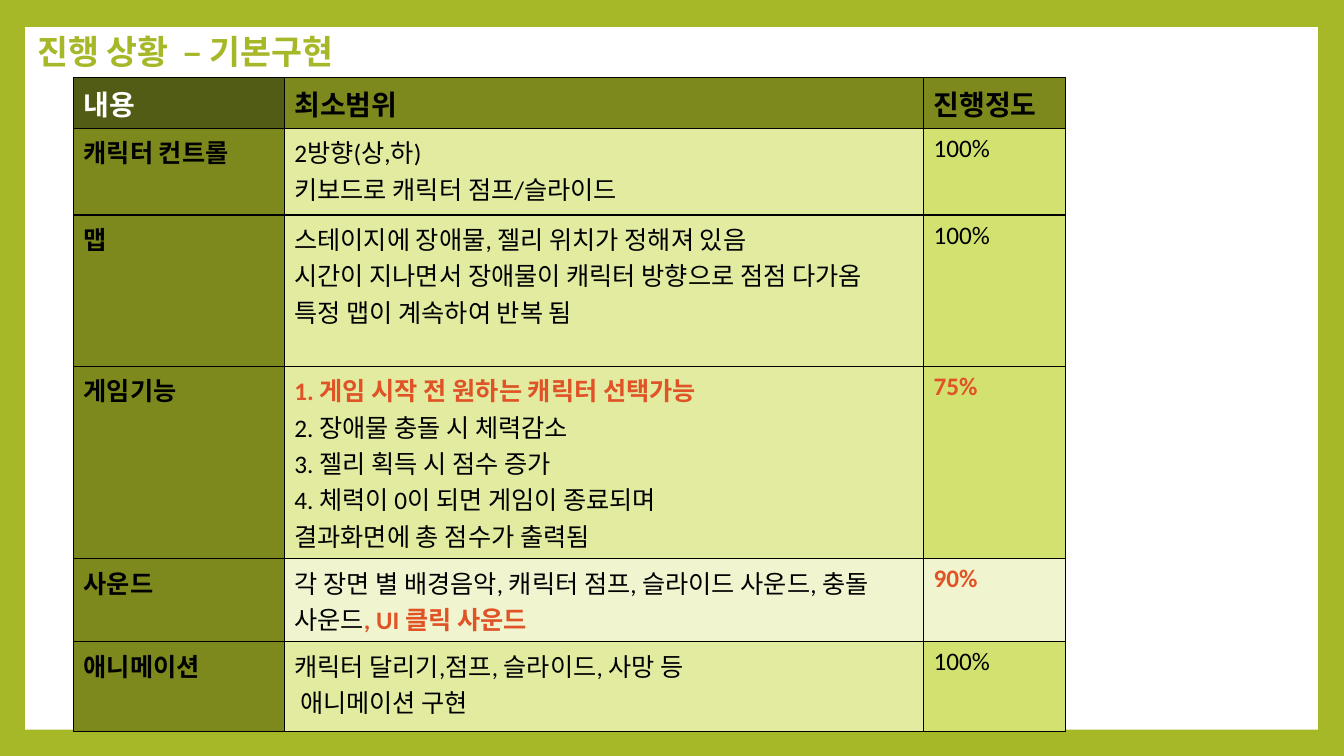
from pptx import Presentation
from pptx import oxml
from pptx import util as u
from pptx.dml.color import RGBColor
from pptx.enum import shapes, text
from pptx.oxml import ns

LIME = RGBColor(0xA6, 0xB7, 0x27)
OLIVE = RGBColor(0x7D, 0x89, 0x1D)
MOSS = RGBColor(0x53, 0x5C, 0x14)
PALE = RGBColor(0xE2, 0xEB, 0xA0)
FRESH = RGBColor(0xD3, 0xE1, 0x71)
CREAM = RGBColor(0xF0, 0xF5, 0xD0)
RED = RGBColor(0xDF, 0x53, 0x27)
BLACK = RGBColor(0, 0, 0)
WHITE = RGBColor(255, 255, 255)

WIDTHS = [2.09, 6.34, 1.41]
HEIGHTS = [0.38, 0.86, 1.5, 1.91, 0.67, 0.89]
HEAD = ["내용", "최소범위", "진행정도"]
BODY = [
    ["캐릭터 컨트롤", "2방향(상,하)\n키보드로 캐릭터 점프/슬라이드", "100%"],
    ["맵", "스테이지에 장애물, 젤리 위치가 정해져 있음\n"
     "시간이 지나면서 장애물이 캐릭터 방향으로 점점 다가옴\n"
     "특정 맵이 계속하여 반복 됨", "100%"],
    ["게임기능", "|1. 게임 시작 전 원하는 캐릭터 선택가능\n"
     "2. 장애물 충돌 시 체력감소\n3. 젤리 획득 시 점수 증가\n"
     "4. 체력이 0이 되면 게임이 종료되며\n결과화면에 총 점수가 출력됨", "|75%"],
    ["사운드", "각 장면 별 배경음악, 캐릭터 점프, 슬라이드 사운드, "
     "충돌 사운드|, UI 클릭 사운드", "|90%"],
    ["애니메이션", "캐릭터 달리기,점프, 슬라이드, 사망 등\n 애니메이션 구현", "100%"],
]


class Deck:
    face = "Calibri"

    def __init__(self, show):
        self.slide = show.slides.add_slide(show.slide_layouts[6])
        self.paint(self.slide.background, LIME)

    def paint(self, item, color):
        item.fill.solid()
        item.fill.fore_color.rgb = color

    def letter(self, frame, words, size, color, bold):
        for i, line in enumerate(words.split("\n")):
            para = frame.paragraphs[0] if i == 0 else frame.add_paragraph()
            for n, part in enumerate(line.split("|")):
                if not part:
                    continue
                run = para.add_run()
                run.text = part
                hot = n == 1
                style = {"name": self.face, "size": u.Pt(size), "bold": bold or hot}
                for key, value in style.items():
                    setattr(run.font, key, value)
                run.font.color.rgb = RED if hot else color

    def panel(self, box, color):
        shape = self.slide.shapes.add_shape(
            shapes.MSO_SHAPE.RECTANGLE, *map(u.Inches, box))
        shape.shadow.inherit = False
        self.paint(shape, color)
        shape.line.fill.background()

    def title(self, box, words):
        frame = self.slide.shapes.add_textbox(*map(u.Inches, box)).text_frame
        frame.word_wrap = False
        frame.auto_size = text.MSO_AUTO_SIZE.SHAPE_TO_FIT_TEXT
        self.letter(frame, words, 24, LIME, True)

    def grid(self, left, top, widths, heights):
        box = left, top, sum(widths), sum(heights)
        table = self.slide.shapes.add_table(
            len(heights), len(widths), *map(u.Inches, box)).table
        for col, width in zip(table.columns, widths):
            col.width = u.Inches(width)
        for row, height in zip(table.rows, heights):
            row.height = u.Inches(height)
        return table

    def cell(self, cell, words, fill, size=18, color=BLACK, bold=False):
        self.letter(cell.text_frame, words, size, color, bold)
        props = cell._tc.get_or_add_tcPr()
        for side in ("lnL", "lnR", "lnT", "lnB"):
            props.append(oxml.parse_xml(
                f'<a:{side} {ns.nsdecls("a")} w="12700"><a:solidFill>'
                f'<a:srgbClr val="{BLACK}"/></a:solidFill></a:{side}>'))
        self.paint(cell, fill)


def main():
    show = Presentation()
    show.slide_width, show.slide_height = u.Inches(13.33), u.Inches(7.5)
    deck = Deck(show)
    deck.panel((0.25, 0.27, 12.82, 6.97), WHITE)
    table = deck.grid(0.73, 0.77, WIDTHS, HEIGHTS)
    for c, words in enumerate(HEAD):
        first = c == 0
        deck.cell(table.cell(0, c), words, MOSS if first else OLIVE,
                  size=20, color=WHITE if first else BLACK, bold=True)
    for r, row in enumerate(BODY, 1):
        fills = [OLIVE, CREAM, CREAM] if row[0] == "사운드" else [OLIVE, PALE, FRESH]
        for c, (words, fill) in enumerate(zip(row, fills)):
            deck.cell(table.cell(r, c), words, fill, bold=c == 0)
    deck.title((0.27, 0.26, 3.41, 0.5), "진행 상황  – 기본구현")
    show.save("out.pptx")


if __name__ == "__main__":
    main()
